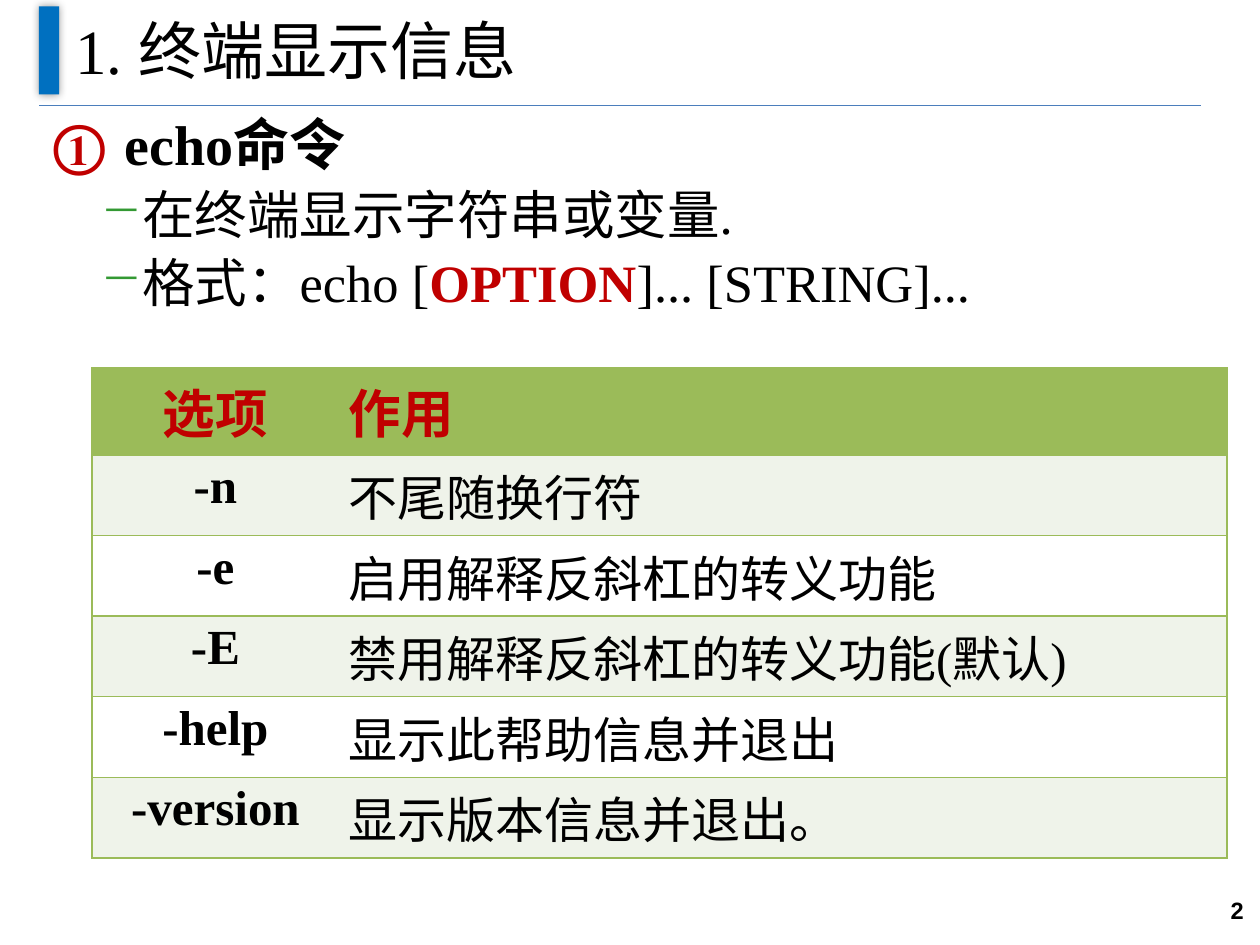
"""Build a slide on the echo command with its option table."""
from dataclasses import dataclass

from lxml.etree import SubElement as Sub
from pptx import Presentation
from pptx.dml.color import RGBColor as RGB
from pptx.enum.shapes import MSO_CONNECTOR as CONN, MSO_SHAPE as SHAPE
from pptx.enum.text import MSO_ANCHOR as ANCHOR, PP_ALIGN as ALIGN
from pptx.oxml.ns import qn
from pptx.util import Emu, Inches, Pt

COLS, ROWS = 100, 75
WIDTH, HEIGHT = Inches(10), Inches(7.5)


@dataclass(frozen=True)
class Theme:
    """Colours, fonts and type sizes of the slide."""
    ink: str = "000000"
    accent: str = "C00000"
    bar: str = "0070C0"
    rule: str = "4B7EBC"
    dash: str = "339933"
    grid: str = "9BBB59"
    band: str = "EFF3EA"
    paper: str = "FFFFFF"
    font: str = "Times New Roman"
    number_font: str = "Arial"
    title: float = 36
    head: float = 32
    body: float = 30
    cell: float = 28
    number: float = 13.5


T = Theme()
OPTIONS = [
    ("选项", "作用"),
    ("-n", "不尾随换行符"),
    ("-e", "启用解释反斜杠的转义功能"),
    ("-E", "禁用解释反斜杠的转义功能(默认)"),
    ("-help", "显示此帮助信息并退出"),
    ("-version", "显示版本信息并退出。"),
]


def across(cols):
    """Return the length of a number of grid columns."""
    return Emu(round(WIDTH * cols / COLS))


def down(rows):
    """Return the length of a number of grid rows."""
    return Emu(round(HEIGHT * rows / ROWS))


def area(x, y, w, h):
    """Return left, top, width and height of a grid area."""
    return across(x), down(y), across(w), down(h)


def add_text(p, text, size=T.body, color=T.ink, bold=False, font=T.font):
    """Add a formatted run to a paragraph."""
    r = p.add_run()
    r.text = text
    r.font.size, r.font.bold, r.font.name = Pt(size), bold, font
    r.font.color.rgb = RGB.from_string(color)


def add_box(s, place, anchor=ANCHOR.TOP):
    """Add a wrapping text box and return its text frame."""
    tf = s.shapes.add_textbox(*area(*place)).text_frame
    tf.word_wrap, tf.vertical_anchor = True, anchor
    return tf


def set_bullet(p, color, margin, indent, tag, **attrs):
    """Give a paragraph a coloured bullet with a hanging indent."""
    pPr = p._p.get_or_add_pPr()
    pPr.set("marL", str(across(margin)))
    pPr.set("indent", str(-across(indent)))
    Sub(Sub(pPr, qn("a:buClr")), qn("a:srgbClr"), val=color)
    Sub(pPr, qn(tag), **attrs)


def add_item(p, runs, level, **bullet):
    """Fill a body paragraph with runs of text and its bullet."""
    p.alignment, p.level = ALIGN.JUSTIFY, level
    p.line_spacing = 0.83
    p.space_before = p.space_after = Pt(4.5)
    set_bullet(p, **bullet)
    for text, fmt in runs:
        add_text(p, text, **fmt)


def add_bar(s, place):
    """Add the title bar with its soft shadow."""
    sp = s.shapes.add_shape(SHAPE.RECTANGLE, *area(*place))
    sp.shadow.inherit = False
    sp.fill.solid()
    sp.fill.fore_color.rgb = RGB.from_string(T.bar)
    sp.line.fill.background()
    effects = sp._element.spPr.find(qn("a:effectLst"))
    shadow = Sub(effects, qn("a:outerShdw"), blurRad=str(Pt(5)), dist="0",
                 dir="0", rotWithShape="0")
    Sub(Sub(shadow, qn("a:srgbClr"), val=T.ink), qn("a:alpha"), val="40000")


def add_rule(s, x1, x2, y):
    """Add the horizontal rule below the title."""
    line = s.shapes.add_connector(CONN.STRAIGHT, across(x1), down(y),
                                  across(x2), down(y))
    line.line.width = Pt(0.75)
    line.line.color.rgb = RGB.from_string(T.rule)
    Sub(line._element.spPr, qn("a:effectLst"))


def set_borders(cell, hidden):
    """Draw the cell's borders except the hidden side."""
    tcPr = cell._tc.get_or_add_tcPr()
    for side in "LRTB":
        ln = Sub(tcPr, qn(f"a:ln{side}"), w=str(Pt(1)))
        if side == hidden:
            Sub(ln, qn("a:noFill"))
        else:
            Sub(Sub(ln, qn("a:solidFill")), qn("a:srgbClr"), val=T.grid)


def fill_cell(cell, text, row, col):
    """Write and format one cell of the option table."""
    header = row == 0
    set_borders(cell, "R" if col == 0 else "L")
    cell.fill.solid()
    shade = T.grid if header else (T.band if row % 2 else T.paper)
    cell.fill.fore_color.rgb = RGB.from_string(shade)
    cell.margin_left = cell.margin_right = across(0.8)
    cell.margin_top = cell.margin_bottom = down(0.4)
    p = cell.text_frame.paragraphs[0]
    p.alignment = ALIGN.JUSTIFY if col else ALIGN.CENTER
    add_text(p, text, size=T.body if header else T.cell,
             color=T.accent if header else T.ink, bold=header or col == 0)


def add_options(s, x, y, widths, head, row_height):
    """Add the table of options."""
    heights = [head] + [row_height] * (len(OPTIONS) - 1)
    frame = s.shapes.add_table(len(OPTIONS), len(widths),
                               *area(x, y, sum(widths), sum(heights)))
    tbl = frame.table
    tbl.horz_banding = False
    for column, w in zip(tbl.columns, widths):
        column.width = across(w)
    for i, (texts, h) in enumerate(zip(OPTIONS, heights)):
        tbl.rows[i].height = down(h)
        for j, text in enumerate(texts):
            fill_cell(tbl.cell(i, j), text, i, j)


def add_body(s):
    """Add the numbered heading and its dashed items."""
    tf = add_box(s, (3.3, 9.1, 91.8, 63.4))
    add_item(tf.paragraphs[0], [("echo命令", dict(size=T.head, bold=True))], 0,
             color=T.accent, margin=5.6, indent=5.6,
             tag="a:buAutoNum", type="circleNumDbPlain")
    items = [
        [("在终端显示字符串或变量.", {})],
        [("格式：echo [", {}), ("OPTION", dict(color=T.accent, bold=True)),
         ("]... [STRING]...", {})],
    ]
    for runs in items:
        add_item(tf.add_paragraph(), runs, 1, color=T.dash, margin=6.6,
                 indent=2.9, tag="a:buChar", char="─")


def main():
    """Build and save the slide."""
    prs = Presentation()
    prs.slide_width, prs.slide_height = WIDTH, HEIGHT
    s = prs.slides.add_slide(prs.slide_layouts[6])
    add_rule(s, 3.1, 95.3, 8.4)
    add_bar(s, (3.1, 0.5, 1.6, 7))
    title = add_box(s, (5, -0.3, 90, 8.4), ANCHOR.MIDDLE)
    add_text(title.paragraphs[0], "1. 终端显示信息", size=T.title)
    add_body(s)
    number = add_box(s, (90.4, 69.5, 9.3, 5.5), ANCHOR.MIDDLE).paragraphs[0]
    number.alignment = ALIGN.RIGHT
    add_text(number, "2", size=T.number, bold=True, font=T.number_font)
    add_options(s, 7.3, 29.2, (19.6, 70.5), 6.9, 6.4)
    prs.save("out.pptx")


main()
